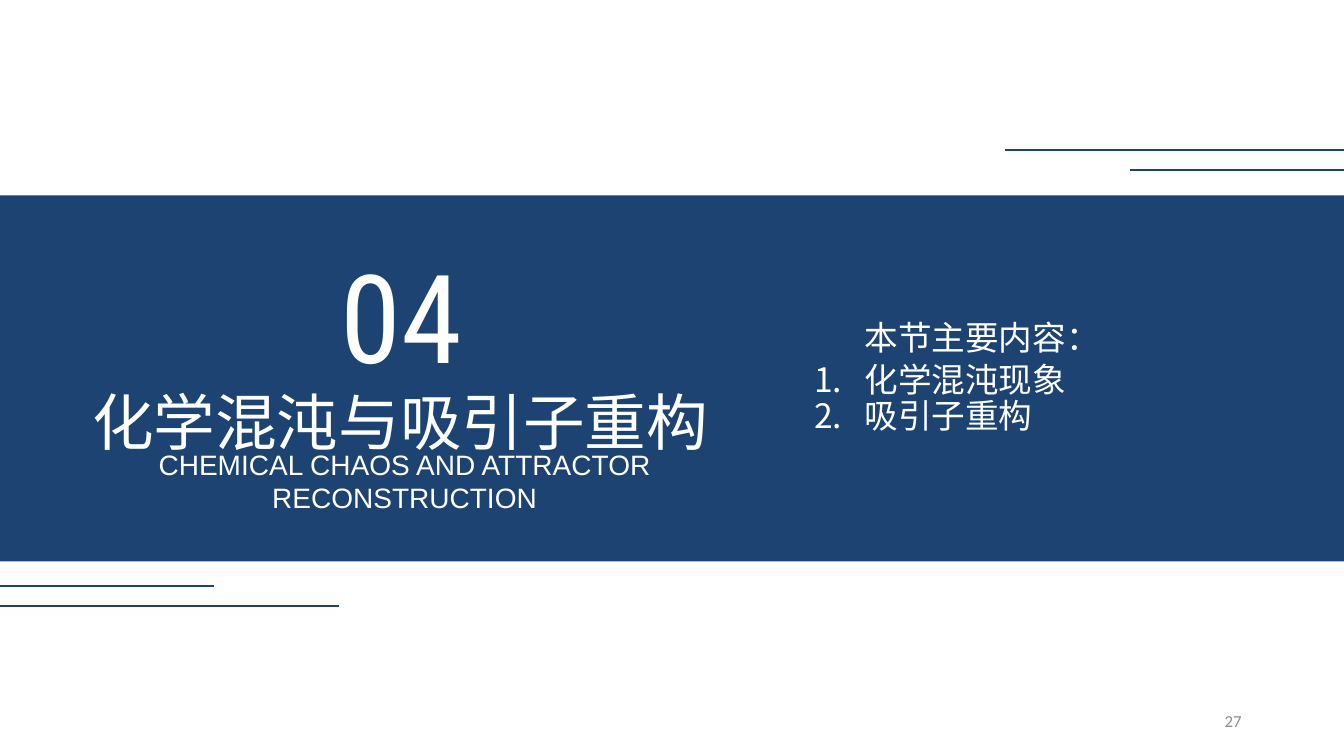
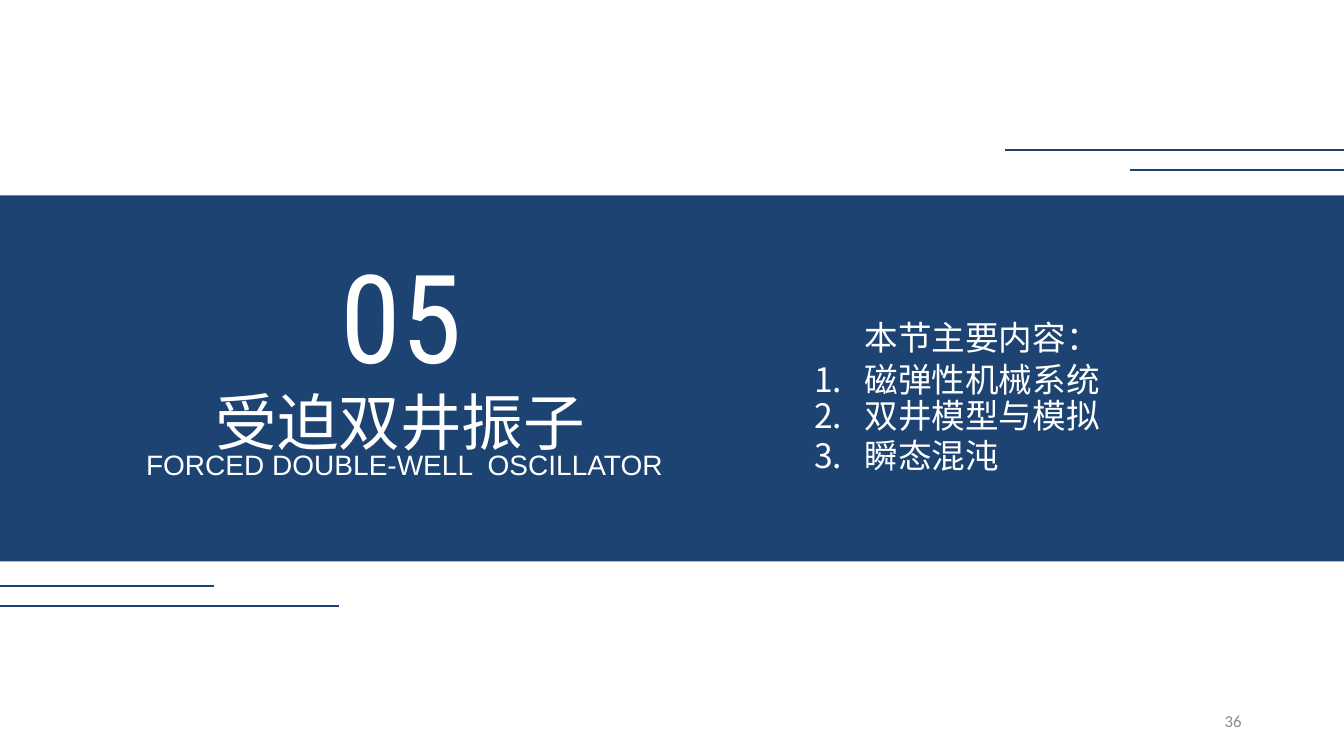
"""Build two section divider slides with a shared navy band."""
import pptx
import pptx.util
import pptx.dml.color
import pptx.enum.shapes
import pptx.enum.text
import pptx.oxml.ns
from lxml import etree

Pt = pptx.util.Pt
ALIGN = pptx.enum.text.PP_ALIGN
ANCHOR = pptx.enum.text.MSO_ANCHOR
NAVY, WHITE, GREY = "1C4372", "FFFFFF", "8C8C8C"
HAN = "Noto Sans CJK SC"
WIDE, HIGH = 960, 540
RULES = [(718, 107.3, WIDE), (807, 121.7, WIDE), (0, 432.7, 242), (0, 418.3, 153)]
PARTS = [
    ("04", "化学混沌与吸引子重构", "CHEMICAL CHAOS AND ATTRACTOR RECONSTRUCTION",
     ["化学混沌现象", "吸引子重构"], "27"),
    ("05", "受迫双井振子", "FORCED DOUBLE-WELL  OSCILLATOR",
     ["磁弹性机械系统", "双井模型与模拟", "瞬态混沌"], "36"),
]


def tint(text):
    return pptx.dml.color.RGBColor.from_string(text)


def write(box, place, text, size, font, align, color=WHITE, anchor=ANCHOR.TOP, start=0):
    box.left, box.top, box.width, box.height = [Pt(n) for n in place]
    frame = box.text_frame
    frame.text = text
    frame.word_wrap = True
    frame.auto_size = pptx.enum.text.MSO_AUTO_SIZE.NONE
    frame.vertical_anchor = anchor
    for para in frame.paragraphs:
        para.alignment = align
        if start:
            props = para._p.get_or_add_pPr()
            props.set("marL", str(Pt(36)))
            props.set("indent", str(Pt(-36)))
            mark = etree.SubElement(props, pptx.oxml.ns.qn("a:buAutoNum"))
            mark.set("type", "arabicPeriod")
            mark.set("startAt", str(start))
        for run in para.runs:
            run.font.size = Pt(size)
            run.font.name = font
            run.font.color.rgb = tint(color)
            east = etree.SubElement(run.font._element, pptx.oxml.ns.qn("a:ea"))
            east.set("typeface", font)


deck = pptx.Presentation()
deck.slide_width, deck.slide_height = Pt(WIDE), Pt(HIGH)

for number, name, english, topics, page in PARTS:
    slide = deck.slides.add_slide(deck.slide_layouts.get_by_name("Title Only"))
    shapes = slide.shapes

    band = shapes.add_shape(pptx.enum.shapes.MSO_SHAPE.RECTANGLE,
                            Pt(0), Pt(139.5), Pt(WIDE), Pt(261.5))
    band.shadow.inherit = False
    band.fill.solid()
    band.fill.fore_color.rgb = tint(NAVY)
    band.line.fill.background()

    for left, top, right in RULES:
        rule = shapes.add_connector(pptx.enum.shapes.MSO_CONNECTOR.STRAIGHT,
                                    Pt(left), Pt(top), Pt(right), Pt(top))
        rule.line.color.rgb = tint(NAVY)
        rule.line.width = Pt(1.5)
        etree.SubElement(rule._element.spPr, pptx.oxml.ns.qn("a:effectLst"))

    title = shapes.title
    title.element.getparent().append(title.element)
    write(title, (38, 231, 496, 101), name, 44, HAN, ALIGN.CENTER)
    title.text_frame.paragraphs[0].line_spacing = 1.75

    texts = [
        ((22, 316, 534, 55), english, 20, "Arial", ALIGN.CENTER),
        ((232, 168.5, 109, 114), number, 88, "Roboto Condensed", ALIGN.CENTER),
        ((678, 500.5, 216, 29), page, 12, "Calibri", ALIGN.RIGHT, GREY, ANCHOR.MIDDLE),
        ((610.5, 222.5, 284, 36), "本节主要内容：", 24, HAN, ALIGN.LEFT),
        ((574.5, 252.7, 284, 36), topics[0], 24, HAN, ALIGN.LEFT, WHITE, ANCHOR.TOP, 1),
        ((574.5, 278.6, 284, 65), "\n".join(topics[1:]), 24, HAN, ALIGN.LEFT,
         WHITE, ANCHOR.TOP, 2),
    ]
    for place, *rest in texts:
        write(shapes.add_textbox(0, 0, 0, 0), place, *rest)

deck.save("out.pptx")
